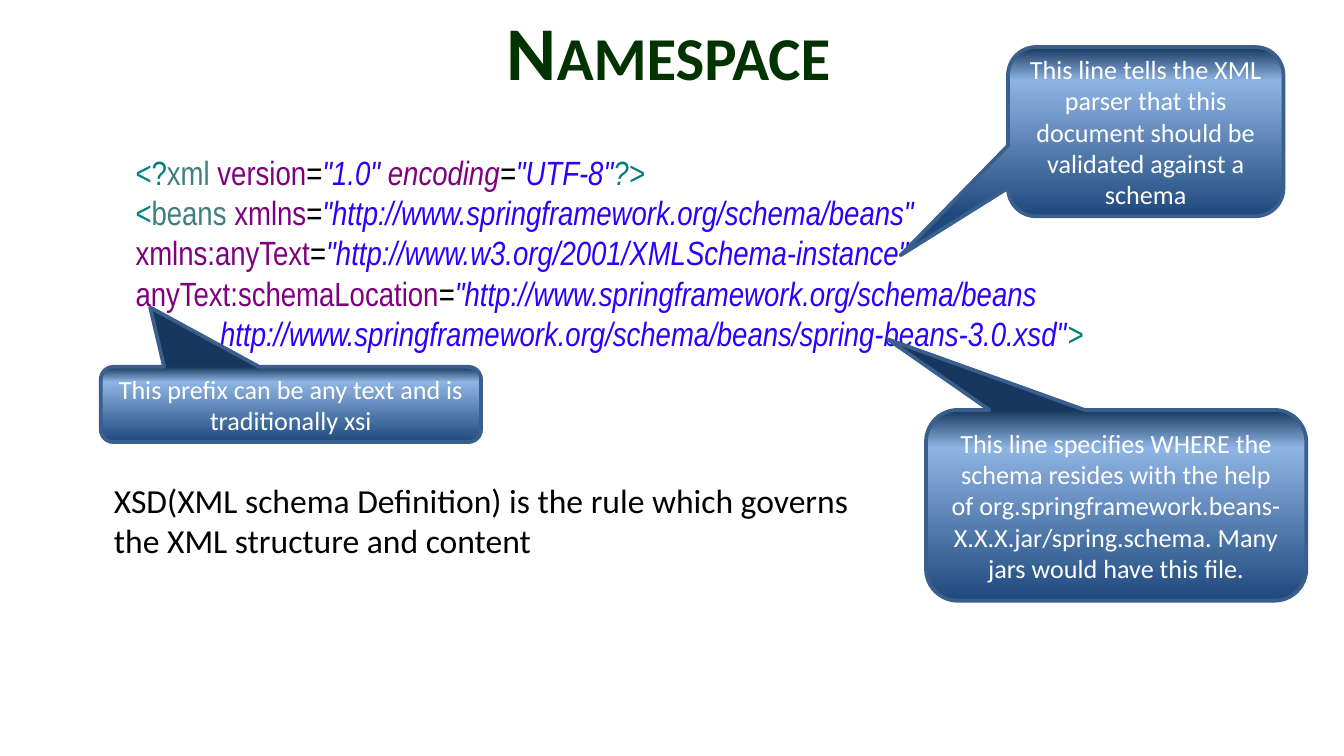
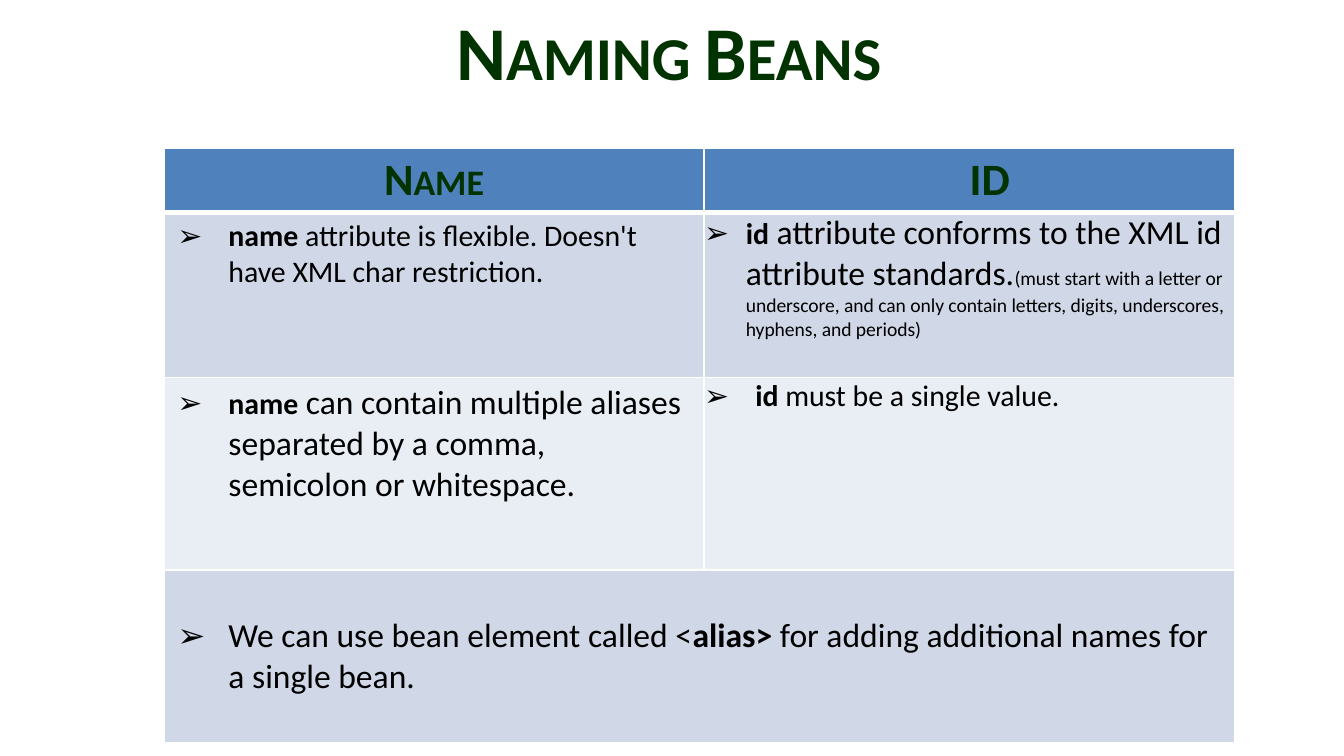
from copy import deepcopy
from dataclasses import dataclass

from lxml.etree import SubElement
from pptx import Presentation
from pptx.dml.color import RGBColor
from pptx.enum.shapes import MSO_SHAPE
from pptx.enum.text import MSO_ANCHOR, PP_ALIGN
from pptx.oxml.ns import qn
from pptx.util import Inches, Pt


@dataclass(frozen=True)
class Theme:
    font: str = "Calibri"
    mono: str = "Arial Narrow"
    title: str = "003300"
    ink: str = "000000"
    white: str = "FFFFFF"
    edge: str = "3A5F8C"
    head: str = "4F81BD"
    band: str = "D0D8E8"
    pale: str = "E9EDF4"
    # gradient stops, bottom to top
    fade: tuple = ((0, "1F497D"), (0.8, "8EB4E3"), (1, "17375E"))
    # code colours
    mark: str = "008080"
    tag: str = "3F7F7F"
    attr: str = "7F007F"
    value: str = "2A00FF"
    # type sizes
    huge: float = 40.7
    large: float = 24
    body: float = 18
    item: float = 16
    note: float = 14
    tiny: float = 10.5


T = Theme()


def rgb(code):
    return RGBColor.from_string(code)


def add_run(par, text, size=T.body, color=T.ink, bold=False,
            italic=False, face=T.font, caps=False):
    run = par.add_run()
    run.text = text
    font = run.font
    font.name, font.size = face, Pt(size)
    font.bold, font.italic = bold, italic
    font.color.rgb = rgb(color)
    if caps:
        run._r.get_or_add_rPr().set("cap", "small")


def add_text(slide, left, top, width, height):
    box = slide.shapes.add_textbox(
        Inches(left), Inches(top), Inches(width), Inches(height))
    box.text_frame.word_wrap = True
    return box.text_frame


def add_title(slide, text):
    frame = add_text(slide, -0.06, -0.01, 10.07, 0.76)
    frame.vertical_anchor = MSO_ANCHOR.MIDDLE
    par = frame.paragraphs[0]
    par.alignment = PP_ALIGN.CENTER
    add_run(par, text, T.huge, T.title, bold=True, caps=True)


def set_dent(par, left, first=0):
    props = par._p.get_or_add_pPr()
    props.set("marL", str(Inches(left)))
    props.set("indent", str(Inches(first)))
    return props


def add_code(slide, lines):
    frame = add_text(slide, 0.91, 1.08, 8.82, 1.62)
    for num, (dent, parts) in enumerate(lines):
        par = frame.add_paragraph() if num else frame.paragraphs[0]
        if dent:
            set_dent(par, dent)
        for text, color, italic in parts:
            add_run(par, text, color=color, italic=italic, face=T.mono)


def set_fade(shape):
    shape.fill.gradient()
    shape.fill.gradient_angle = 90
    stops = shape._element.spPr.find(".//" + qn("a:gsLst"))
    stops.append(deepcopy(stops[-1]))
    for stop, (pos, color) in zip(shape.fill.gradient_stops, T.fade):
        stop.position = pos
        stop.color.rgb = rgb(color)


def add_note(slide, place, tip, text):
    shape = slide.shapes.add_shape(
        MSO_SHAPE.ROUNDED_RECTANGULAR_CALLOUT, *map(Inches, place))
    shape.adjustments[0], shape.adjustments[1] = tip
    shape.shadow.inherit = False
    set_fade(shape)
    shape.line.color.rgb = rgb(T.edge)
    shape.line.width = Pt(2)
    frame = shape.text_frame
    frame.word_wrap = True
    frame.vertical_anchor = MSO_ANCHOR.MIDDLE
    par = frame.paragraphs[0]
    par.alignment = PP_ALIGN.CENTER
    add_run(par, text, T.note, T.white)


def set_edges(cell, base):
    props = cell._tc.get_or_add_tcPr()
    for num, side in enumerate("LRTB"):
        line = SubElement(props, qn("a:ln" + side))
        line.set("w", str(Pt(base if side == "B" else 1)))
        fill = SubElement(line, qn("a:solidFill"))
        SubElement(fill, qn("a:srgbClr")).set("val", T.white)
        props.insert(num, line)


def set_cell(cell, fill, base=1, inset=(0.1, 0.04)):
    cell.fill.solid()
    cell.fill.fore_color.rgb = rgb(fill)
    set_edges(cell, base)
    cell.margin_left = cell.margin_right = Inches(inset[0])
    cell.margin_top = cell.margin_bottom = Inches(inset[1])


def add_item(cell, parts, dent=0.38):
    par = cell.text_frame.paragraphs[0]
    props = set_dent(par, dent, -dent)
    SubElement(props, qn("a:buFont")).set("typeface", "Arial")
    SubElement(props, qn("a:buChar")).set("char", "➢")
    for text, size, bold in parts:
        add_run(par, text, size, bold=bold)


def add_grid(slide, cols, rows):
    table = slide.shapes.add_table(
        len(rows), len(cols), Inches(1.22), Inches(1.1),
        Inches(sum(cols)), Inches(sum(rows))).table
    table.first_row = table.horz_banding = False
    for col, width in zip(table.columns, cols):
        col.width = Inches(width)
    for row, height in zip(table.rows, rows):
        row.height = Inches(height)
    return table


def make_space(slide):
    add_title(slide, "Namespace")
    add_code(slide, [
        (0, [("<?", T.mark, False), ("xml ", T.tag, False),
             ("version", T.attr, False), ("=", T.ink, False),
             ('"1.0" ', T.value, True), ("encoding", T.attr, True),
             ("=", T.ink, True), ('"UTF-8"', T.value, True),
             ("?>", T.mark, True)]),
        (0, [("<", T.mark, False), ("beans ", T.tag, False),
             ("xmlns", T.attr, False), ("=", T.ink, False),
             ('"http://www.springframework.org/schema/beans"',
              T.value, True)]),
        (0, [("xmlns:anyText", T.attr, False), ("=", T.ink, False),
             ('"http://www.w3.org/2001/XMLSchema-instance"',
              T.value, True)]),
        (0, [("anyText:schemaLocation", T.attr, False),
             ("=", T.ink, False),
             ('"http://www.springframework.org/schema/beans',
              T.value, True)]),
        (0.63, [("http://www.springframework.org/schema/beans/"
                 'spring-beans-3.0.xsd"', T.value, True),
                (">", T.mark, True)]),
    ])
    # Callouts: place, tip offset, text
    add_note(slide, (7.5, 0.35, 2.05, 1.26), (-0.89, 0.73),
             "This line tells the XML parser that this document should be "
             "validated against a schema")
    add_note(slide, (6.89, 3.05, 2.83, 1.42), (-0.6, -0.87),
             "This line specifies WHERE the schema resides with the help of "
             "org.springframework.beans-X.X.X.jar/spring.schema. "
             "Many jars would have this file.")
    add_note(slide, (0.75, 2.73, 2.83, 0.56), (-0.37, -1.29),
             "This prefix can be any text and is traditionally xsi")
    # Closing rule
    frame = add_text(slide, 0.75, 3.52, 5.67, 0.71)
    add_run(frame.paragraphs[0],
            "XSD(XML schema Definition) is the rule which governs "
            "the XML structure and content")


def make_names(slide):
    table = add_grid(slide, (4.02, 3.95), (0.47, 1.23, 1.43, 1.29))
    # Header row
    for col, text in enumerate(("Name", "ID")):
        cell = table.cell(0, col)
        set_cell(cell, T.head, base=3)
        par = cell.text_frame.paragraphs[0]
        par.alignment = PP_ALIGN.CENTER
        add_run(par, text, T.large, T.title, bold=True, caps=True)
    # Body rows
    for row, fill in enumerate((T.band, T.pale, T.band), 1):
        set_cell(table.cell(row, 0), fill)
        set_cell(table.cell(row, 1), fill, inset=(0, 0))
    add_item(table.cell(1, 0), [
        ("name ", T.item, True),
        ("attribute is flexible. Doesn't have XML char restriction.",
         T.item, False)])
    add_item(table.cell(1, 1), [
        ("id", T.item, True),
        (" attribute conforms to the XML id attribute standards.",
         T.body, False),
        ("(must start with a letter or underscore, and can only contain "
         "letters, digits, underscores, hyphens, and periods)",
         T.tiny, False)], dent=0.31)
    add_item(table.cell(2, 0), [
        ("name", T.item, True),
        (" can contain multiple aliases separated by a comma, "
         "semicolon or whitespace.", T.body, False)])
    add_item(table.cell(2, 1), [
        ("id", T.item, True),
        (" must be a single value.", T.item, False)])
    # Last row spans both columns
    last = table.cell(3, 0)
    last.merge(table.cell(3, 1))
    last.vertical_anchor = MSO_ANCHOR.MIDDLE
    add_item(last, [
        ("We can use bean element called <", T.body, False),
        ("alias>", T.body, True),
        (" for adding additional names for a single bean.",
         T.body, False)])
    add_title(slide, "Naming Beans")


def main():
    deck = Presentation()
    # Widescreen, 16 to 9
    deck.slide_width = Inches(10)
    deck.slide_height = Inches(10 * 9 / 16)
    for make in (make_space, make_names):
        make(deck.slides.add_slide(deck.slide_layouts[6]))
    deck.save("out.pptx")


if __name__ == "__main__":
    main()
